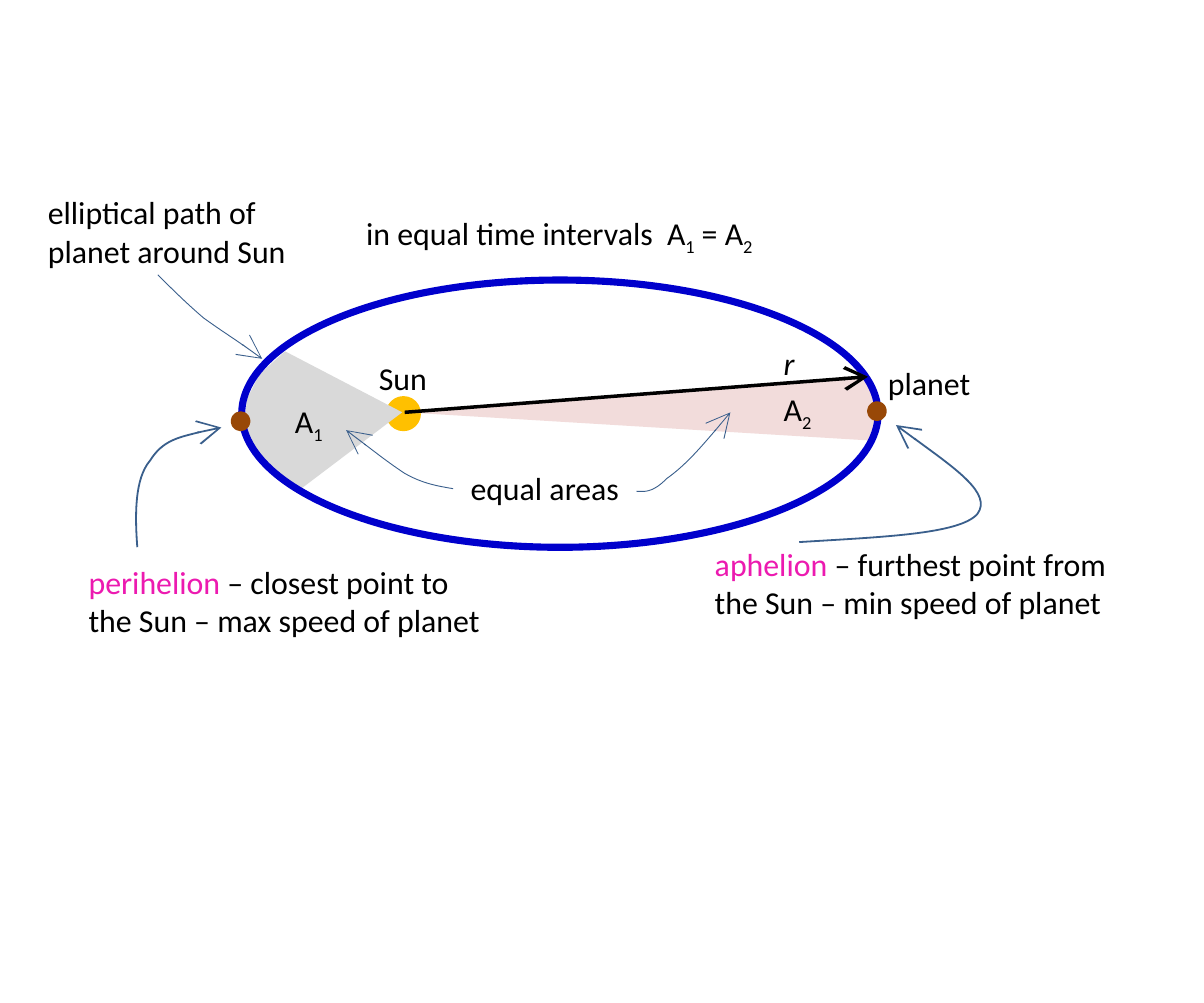
from pptx import Presentation
from pptx.dml.color import RGBColor
from pptx.enum import shapes, text
from pptx.oxml import ns
from pptx.util import Inches, Pt
from lxml import etree

BLACK, ARROW_BLUE, PINK = "000000", "3A5F8C", "EC1AB0"
SUN, PLANET, ORBIT = "FFC000", "984807", "0000CC"

SUN_DISC = (1.53, 1.57, 0.11, 0.11, SUN, SUN)
ORBIT_AND_PLANETS = [
    (0.95, 1.1, 2.5, 1.05, None, ORBIT),
    (0.92, 1.63, 0.05, 0.05, PLANET, PLANET),
    (3.42, 1.59, 0.05, 0.05, PLANET, PLANET),
]
SWEPT_AREAS = [
    ("D9D9D9", [(1.58, 1.62), (1.12, 1.38), (1.02, 1.47), (0.97, 1.57),
                (0.96, 1.68), (1.03, 1.81), (1.09, 1.86), (1.17, 1.93)]),
    ("F2DCDB", [(1.59, 1.62), (3.41, 1.48), (3.43, 1.55), (3.44, 1.6),
                (3.43, 1.68), (3.41, 1.73)]),
]
CURVED_ARROWS = [
    (0.5, [(0.54, 2.15), (0.53, 2.02), (0.53, 1.88), (0.59, 1.81),
           (0.64, 1.73), (0.76, 1.7), (0.87, 1.68)]),
    (0.5, [(3.14, 2.13), (3.46, 2.11), (3.77, 2.1), (3.84, 2.02),
           (3.9, 1.94), (3.71, 1.81), (3.52, 1.67)]),
    (0.25, [(2.5, 1.93), (2.53, 1.93), (2.56, 1.94), (2.62, 1.88),
            (2.69, 1.83), (2.78, 1.73), (2.87, 1.62)]),
    (0.25, [(1.78, 1.92), (1.72, 1.91), (1.66, 1.9), (1.59, 1.86),
            (1.53, 1.82), (1.44, 1.75), (1.36, 1.69)]),
    (0.25, [(0.62, 1.08), (0.67, 1.13), (0.73, 1.19), (0.8, 1.25),
            (0.87, 1.3), (0.95, 1.35), (1.03, 1.41)]),
]
RADIUS = [(1.59, 1.62), (3.41, 1.48)]
LABELS = [
    (1.06, 1.53, 0.32, 0.25, False, [("A", ""), ("1", "sub")]),
    (2.98, 1.48, 0.32, 0.25, False, [("A", ""), ("2", "sub")]),
    (0.25, 2.16, 1.76, 0.4, True,
     [("perihelion", "term"), (" – closest point to the Sun – max speed of planet", "")]),
    (2.71, 2.09, 1.76, 0.4, True,
     [("aphelion", "term"), (" – furthest point from the Sun – min speed of planet", "")]),
    (1.34, 0.79, 1.8, 0.25, False,
     [("in equal time intervals  A", ""), ("1", "sub"), (" = A", ""), ("2", "sub")]),
    (1.75, 1.79, 0.79, 0.25, False, [("equal areas", "")]),
    (1.39, 1.36, 0.39, 0.25, False, [("Sun", "")]),
    (3.39, 1.38, 0.53, 0.25, False, [("planet", "")]),
    (0.09, 0.71, 1.23, 0.4, True, [("elliptical path of planet around Sun", "")]),
    (2.98, 1.3, 0.25, 0.25, False, [("r", "italic")]),
]

presentation = Presentation()
presentation.slide_width, presentation.slide_height = Inches(4.73), Inches(3.94)
slide = presentation.slides.add_slide(presentation.slide_layouts[6])


def rgb(color):
    return RGBColor.from_string(color)


def paint(shape, fill, line, width):
    shape.shadow.inherit = False
    for target, color in ((shape.fill, fill), (shape.line.fill, line)):
        if color:
            target.solid()
            target.fore_color.rgb = rgb(color)
        else:
            target.background()
    if line:
        shape.line.width = Pt(width)


def add_ellipse(left, top, width, height, fill, line):
    box = map(Inches, (left, top, width, height))
    shape = slide.shapes.add_shape(shapes.MSO_SHAPE.OVAL, *box)
    paint(shape, fill, line, 2)


def add_outline(points, close):
    start, *rest = [(Inches(x), Inches(y)) for x, y in points]
    builder = slide.shapes.build_freeform(*start)
    builder.add_line_segments(rest, close=close)
    return builder.convert_to_shape()


def add_arrowhead(shape):
    line = shape._element.spPr.find(ns.qn("a:ln"))
    etree.SubElement(line, ns.qn("a:tailEnd"), type="arrow")


def add_curved_arrow(width, points):
    shape = add_outline(points, False)
    segments = list(shape._element.iter(ns.qn("a:lnTo")))
    for first in range(0, len(segments), 3):
        curve = etree.Element(ns.qn("a:cubicBezTo"))
        segments[first].addprevious(curve)
        for segment in segments[first:first + 3]:
            curve.append(segment[0])
            segment.getparent().remove(segment)
    paint(shape, None, ARROW_BLUE, width)
    add_arrowhead(shape)


def add_label(left, top, width, height, wrap, runs):
    box = slide.shapes.add_textbox(*map(Inches, (left, top, width, height)))
    frame = box.text_frame
    frame.word_wrap = wrap
    frame.auto_size = text.MSO_AUTO_SIZE.SHAPE_TO_FIT_TEXT
    paragraph = frame.paragraphs[0]
    paragraph.font.name, paragraph.font.size = "Calibri", Pt(9)
    for words, style in runs:
        run = paragraph.add_run()
        run.text = words
        run.font.color.rgb = rgb(PINK if style == "term" else BLACK)
        if style == "italic":
            run.font.italic = True
        if style == "sub":
            run.font._element.set("baseline", "-25000")


add_ellipse(*SUN_DISC)
for fill, points in SWEPT_AREAS:
    paint(add_outline(points, True), fill, None, 0)
for ellipse in ORBIT_AND_PLANETS:
    add_ellipse(*ellipse)
for arrow in CURVED_ARROWS:
    add_curved_arrow(*arrow)

ends = [Inches(value) for point in RADIUS for value in point]
radius = slide.shapes.add_connector(shapes.MSO_CONNECTOR.STRAIGHT, *ends)
radius.line.color.rgb = rgb(BLACK)
radius.line.width = Pt(1)
add_arrowhead(radius)
etree.SubElement(radius._element.spPr, ns.qn("a:effectLst"))

for label in LABELS:
    add_label(*label)

presentation.save("out.pptx")
